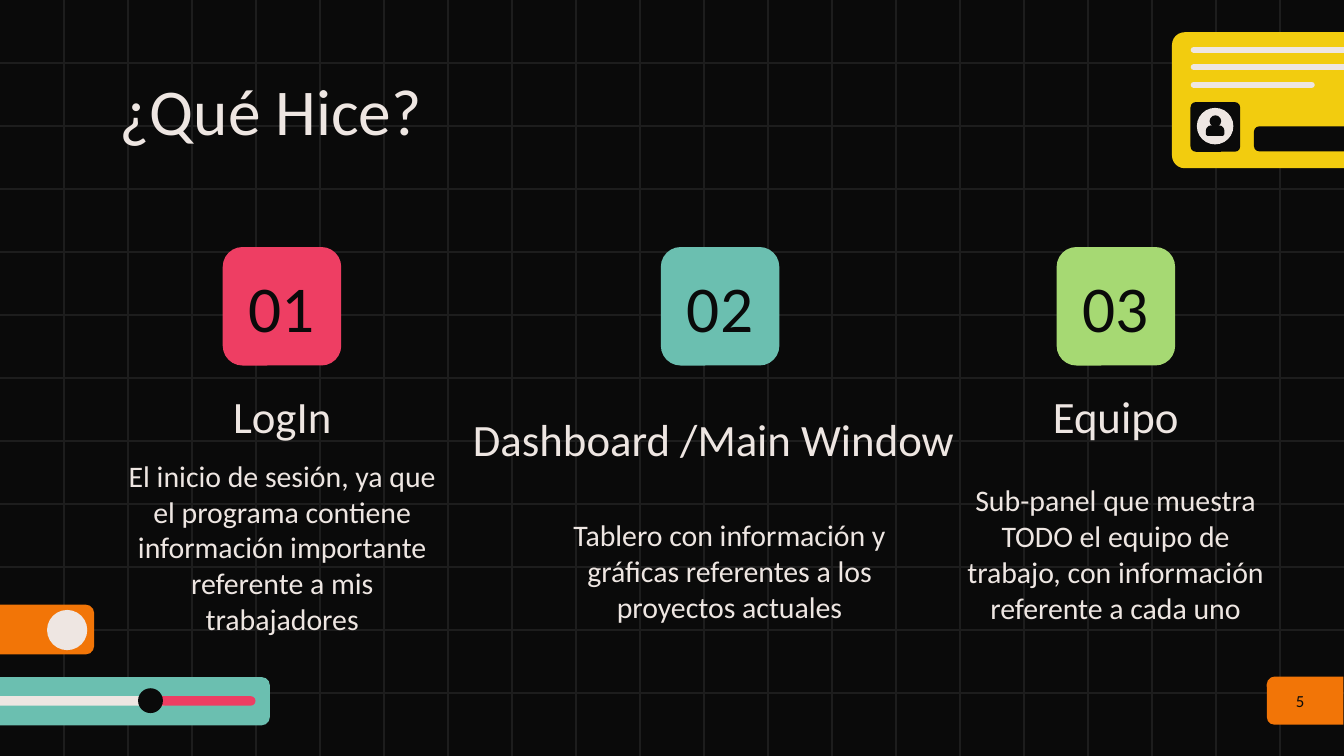
from lxml.etree import SubElement
from pptx import Presentation
from pptx.dml.color import RGBColor
from pptx.enum.shapes import MSO_CONNECTOR, MSO_SHAPE
from pptx.enum.text import MSO_ANCHOR, MSO_AUTO_SIZE, PP_ALIGN
from pptx.oxml.ns import qn
from pptx.util import Cm, Pt

WIDTH, HEIGHT = 25.4, 14.29
FONT = "Calibri"
DARK, LIGHT, GRID = "0A0A0A", "EEE6E2", "1D1D1D"
PINK, TEAL, GREEN = "EE3E63", "6BBFB0", "A6D973"
ORANGE, YELLOW = "F27507", "F2CC0F"

ROUNDED = MSO_SHAPE.ROUNDED_RECTANGLE
ROUNDED_TOP = MSO_SHAPE.ROUND_2_SAME_RECTANGLE
CIRCLE = MSO_SHAPE.OVAL


def set_color(color_format, color):
    color_format.rgb = RGBColor.from_string(color)


def place(shape, left, top, width, height):
    shape.left, shape.top = Cm(left), Cm(top)
    shape.width, shape.height = Cm(width), Cm(height)


def add_block(slide, kind, box, color, adjustments=()):
    """Add a filled preset shape without outline."""
    shape = slide.shapes.add_shape(kind, *(Cm(value) for value in box))
    shape.shadow.inherit = False
    shape.fill.solid()
    set_color(shape.fill.fore_color, color)
    shape.line.fill.background()
    for index, value in enumerate(adjustments):
        shape.adjustments[index] = value
    return shape


def add_line(slide, start, end, color, weight, rounded=False):
    connector = slide.shapes.add_connector(
        MSO_CONNECTOR.STRAIGHT, *(Cm(value) for value in (*start, *end)))
    set_color(connector.line.color, color)
    connector.line.width = Pt(weight)
    properties = connector.element.spPr
    SubElement(properties, qn("a:effectLst"))
    if rounded:
        properties.find(qn("a:ln")).set("cap", "rnd")


def write_text(shape, text, size, color, alignment, anchor):
    frame = shape.text_frame
    frame.word_wrap = True
    frame.auto_size = MSO_AUTO_SIZE.NONE
    frame.vertical_anchor = anchor
    frame.margin_left = frame.margin_right = Cm(0.25)
    frame.margin_top = frame.margin_bottom = Cm(0.25)
    paragraph = frame.paragraphs[0]
    paragraph.alignment = alignment
    paragraph.line_spacing = 1.0
    paragraph.space_before = Pt(0)
    run = paragraph.add_run()
    run.text = text
    run.font.name = FONT
    run.font.size = Pt(size)
    set_color(run.font.color, color)


def add_label(slide, box, text, size, color=LIGHT):
    """Add a centred text box."""
    shape = slide.shapes.add_textbox(*(Cm(value) for value in box))
    write_text(shape, text, size, color, PP_ALIGN.CENTER, MSO_ANCHOR.MIDDLE)


def add_grid(slide, columns=21, rows=12):
    for row in range(1, rows):
        y = HEIGHT * row / rows
        add_line(slide, (0, y), (WIDTH, y), GRID, 0.75)
    for column in range(1, columns):
        x = WIDTH * column / columns
        add_line(slide, (x, 0), (x, HEIGHT), GRID, 0.75)


def add_slider(slide):
    add_block(slide, ROUNDED, (-1.12, 12.8, 6.22, 0.91), TEAL, [0.167])
    add_block(slide, ROUNDED, (-0.84, 13.16, 4, 0.18), LIGHT, [0.5])
    add_block(slide, ROUNDED, (2.77, 13.16, 2.06, 0.18), PINK, [0.5])
    add_block(slide, CIRCLE, (2.61, 13.01, 0.47, 0.47), DARK)


def add_toggle(slide):
    add_block(slide, ROUNDED, (-0.46, 11.43, 2.24, 0.94), ORANGE, [0.167])
    add_block(slide, CIRCLE, (0.89, 11.53, 0.76, 0.76), LIGHT)


def add_profile_card(slide):
    add_block(slide, ROUNDED, (22.15, 0.61, 3.71, 2.57), YELLOW, [0.093])
    for index, right in enumerate((25.48, 25.48, 24.79)):
        y = 0.94 + 0.33 * index
        add_line(slide, (22.56, y), (right, y), LIGHT, 3.25, rounded=True)
    # Avatar
    add_block(slide, ROUNDED, (22.5, 1.93, 0.94, 0.94), DARK, [0.11])
    add_block(slide, CIRCLE, (22.62, 2.04, 0.69, 0.69), LIGHT)
    add_block(slide, CIRCLE, (22.86, 2.18, 0.22, 0.22), DARK)
    add_block(slide, ROUNDED_TOP, (22.79, 2.37, 0.35, 0.2), DARK, [0.5, 0.2])
    # Button
    add_block(slide, ROUNDED, (23.7, 2.39, 1.8, 0.47), DARK, [0.2])


def add_page_number(slide, number):
    tab = add_block(slide, ROUNDED_TOP, (24.21, 12.52, 0.91, 1.45), ORANGE,
                    [0, 0.162])
    tab.rotation = 90
    add_label(slide, (23.95, 12.8, 1.24, 0.91), number, 9, DARK)


def add_topic(slide, number, tile_left, color, heading, heading_box,
              detail, detail_box):
    tile_size, number_width = 2.24, 2.46
    number_left = tile_left - (number_width - tile_size) / 2
    add_block(slide, ROUNDED, (tile_left, 4.67, tile_size, tile_size), color,
              [0.167])
    add_label(slide, (number_left, 5.05, number_width, 1.47), number, 35, DARK)
    add_label(slide, heading_box, heading, 24)
    add_label(slide, detail_box, detail, 16)


def add_title(slide, text):
    title = slide.shapes.title
    place(title, 2.01, 1.07, 21.41, 1.65)
    write_text(title, text, 35, LIGHT, PP_ALIGN.LEFT, MSO_ANCHOR.TOP)
    # Bring the title in front of the grid
    title.element.getparent().append(title.element)


def main():
    presentation = Presentation()
    presentation.slide_width = Cm(WIDTH)
    presentation.slide_height = Cm(HEIGHT)
    slide = presentation.slides.add_slide(presentation.slide_layouts[5])
    slide.background.fill.solid()
    set_color(slide.background.fill.fore_color, DARK)

    # Decoration
    add_grid(slide)
    add_slider(slide)
    add_profile_card(slide)
    add_toggle(slide)

    # Content
    add_topic(slide, "01", 4.21, PINK,
              "LogIn", (2.16, 7.34, 6.35, 1.04),
              "El inicio de sesión, ya que el programa contiene información "
              "importante referente a mis trabajadores",
              (2.16, 8.36, 6.35, 3.96))
    add_topic(slide, "02", 12.49, TEAL,
              "Dashboard /Main Window", (8.38, 7.34, 10.21, 1.9),
              "Tablero con información y gráficas referentes a los "
              "proyectos actuales",
              (9.75, 9.55, 8.08, 2.46))
    add_topic(slide, "03", 19.97, GREEN,
              "Equipo", (17.91, 7.34, 6.35, 1.04),
              "Sub-panel que muestra TODO el equipo de trabajo, con "
              "información referente a cada uno",
              (17.91, 7.72, 6.35, 5.49))
    add_title(slide, "¿Qué Hice?")
    add_page_number(slide, "5")

    presentation.save("out.pptx")


if __name__ == "__main__":
    main()
